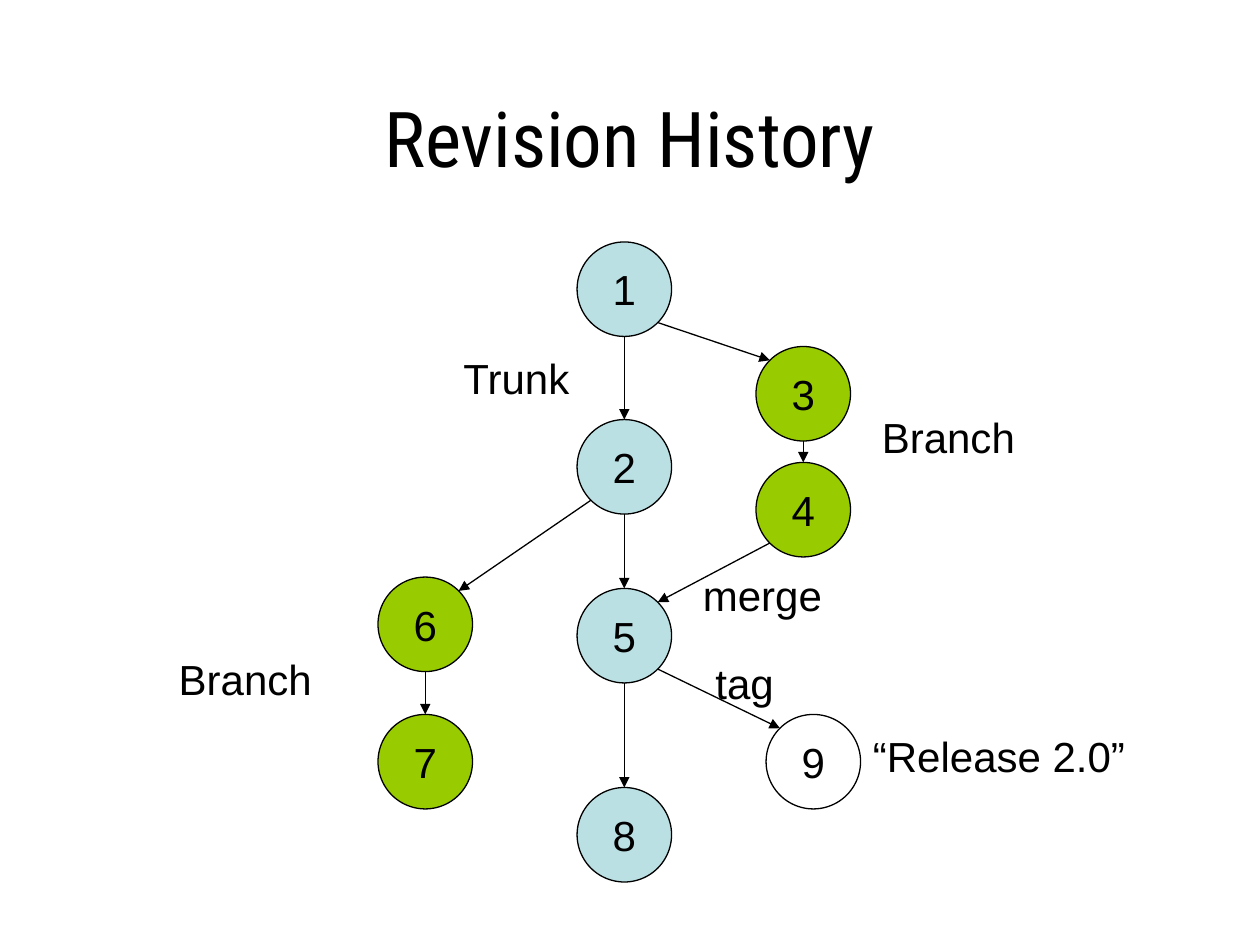
from dataclasses import dataclass
from math import sqrt

from lxml.etree import SubElement
from pptx import Presentation
from pptx.dml.color import RGBColor
from pptx.enum.shapes import MSO_CONNECTOR as Connector, MSO_SHAPE as Shape
from pptx.enum.text import MSO_ANCHOR as Anchor, PP_ALIGN as Align
from pptx.oxml.ns import qn
from pptx.util import Inches, Pt

BLACK, TRUNK, BRANCH, TAG = "000000", "BBE0E3", "99CC00", "FFFFFF"
DIAMETER = 0.75
RADIUS = DIAMETER / 2
DIAGONAL = RADIUS / sqrt(2)
TRUNK_LEFT, RIGHT_LEFT, LEFT_LEFT = 4.58, 6, 3
LINE_WIDTH = 0.75
BODY = {"name": "Arial", "size": Pt(24)}
TITLE = {"name": "Roboto Condensed", "size": Pt(44)}


@dataclass(frozen=True)
class Revision:
    number: int
    left: float
    top: float
    fill: str

    @property
    def center(self) -> tuple[float, float]:
        return self.left + RADIUS, self.top + RADIUS


@dataclass(frozen=True)
class Label:
    text: str
    left: float
    top: float
    width: float
    height: float = 0.5


REVISIONS = [
    Revision(1, TRUNK_LEFT, 1.92, TRUNK),
    Revision(2, TRUNK_LEFT, 3.33, TRUNK),
    Revision(3, RIGHT_LEFT, 2.75, BRANCH),
    Revision(4, RIGHT_LEFT, 3.67, BRANCH),
    Revision(5, TRUNK_LEFT, 4.67, TRUNK),
    Revision(6, LEFT_LEFT, 4.58, BRANCH),
    Revision(7, LEFT_LEFT, 5.67, BRANCH),
    Revision(8, TRUNK_LEFT, 6.25, TRUNK),
    Revision(9, 6.08, 5.67, TAG),
]
STEPS = [(1, 3), (1, 2), (3, 4), (4, 5), (5, 9), (5, 8), (2, 5), (2, 6), (6, 7)]
HEADING = Label("Revision History", 0.75, 0.67, 8.5, 1.25)
LABELS = [
    Label("Trunk", 3.58, 2.75, 1.38),
    Label("Branch", 1.32, 5.14, 1.38),
    Label("Branch", 6.9, 3.22, 1.71),
    Label("tag", 5.58, 5.17, 0.97),
    Label("“Release 2.0”", 6.83, 5.75, 2.74),
    Label("merge", 5.48, 4.47, 1.42),
]


def color(value: str) -> RGBColor:
    return RGBColor.from_string(value)


def write(shape, text: str, font_format: dict, align: Align, anchor: Anchor) -> None:
    frame = shape.text_frame
    frame.word_wrap = True
    frame.vertical_anchor = anchor
    paragraph = frame.paragraphs[0]
    paragraph.alignment = align
    run = paragraph.add_run()
    run.text = text
    for name, value in font_format.items():
        setattr(run.font, name, value)
    run.font.color.rgb = color(BLACK)


def set_line(shape) -> None:
    shape.line.color.rgb = color(BLACK)
    shape.line.width = Pt(LINE_WIDTH)


def draw_label(slide, label: Label, font_format: dict, align: Align) -> None:
    box = slide.shapes.add_textbox(
        Inches(label.left), Inches(label.top), Inches(label.width), Inches(label.height))
    write(box, label.text, font_format, align, Anchor.TOP)


def draw_revision(slide, revision: Revision) -> None:
    circle = slide.shapes.add_shape(
        Shape.OVAL, Inches(revision.left), Inches(revision.top),
        Inches(DIAMETER), Inches(DIAMETER))
    circle.shadow.inherit = False
    circle.fill.solid()
    circle.fill.fore_color.rgb = color(revision.fill)
    set_line(circle)
    write(circle, str(revision.number), BODY, Align.CENTER, Anchor.MIDDLE)


def draw_step(slide, start: Revision, end: Revision) -> None:
    """Join the circles vertically in a column, else at their 45 degree points."""
    (x1, y1), (x2, y2) = start.center, end.center
    if x1 == x2:
        dx, dy = 0, RADIUS
    else:
        dx, dy = (DIAGONAL if x2 > x1 else -DIAGONAL), DIAGONAL
    arrow = slide.shapes.add_connector(
        Connector.STRAIGHT, Inches(x1 + dx), Inches(y1 + dy),
        Inches(x2 - dx), Inches(y2 - dy))
    set_line(arrow)
    SubElement(arrow.line._get_or_add_ln(), qn("a:tailEnd"), type="triangle")
    SubElement(arrow._element.spPr, qn("a:effectLst"))


def main() -> None:
    presentation = Presentation()
    presentation.slide_width, presentation.slide_height = Inches(10), Inches(7.5)
    slide = presentation.slides.add_slide(presentation.slide_layouts[6])

    # Title
    draw_label(slide, HEADING, TITLE, Align.CENTER)

    # Revision graph
    by_number = {revision.number: revision for revision in REVISIONS}
    for revision in REVISIONS:
        draw_revision(slide, revision)
    for start, end in STEPS:
        draw_step(slide, by_number[start], by_number[end])

    # Labels
    for label in LABELS:
        draw_label(slide, label, BODY, Align.LEFT)

    presentation.save("out.pptx")


if __name__ == "__main__":
    main()
